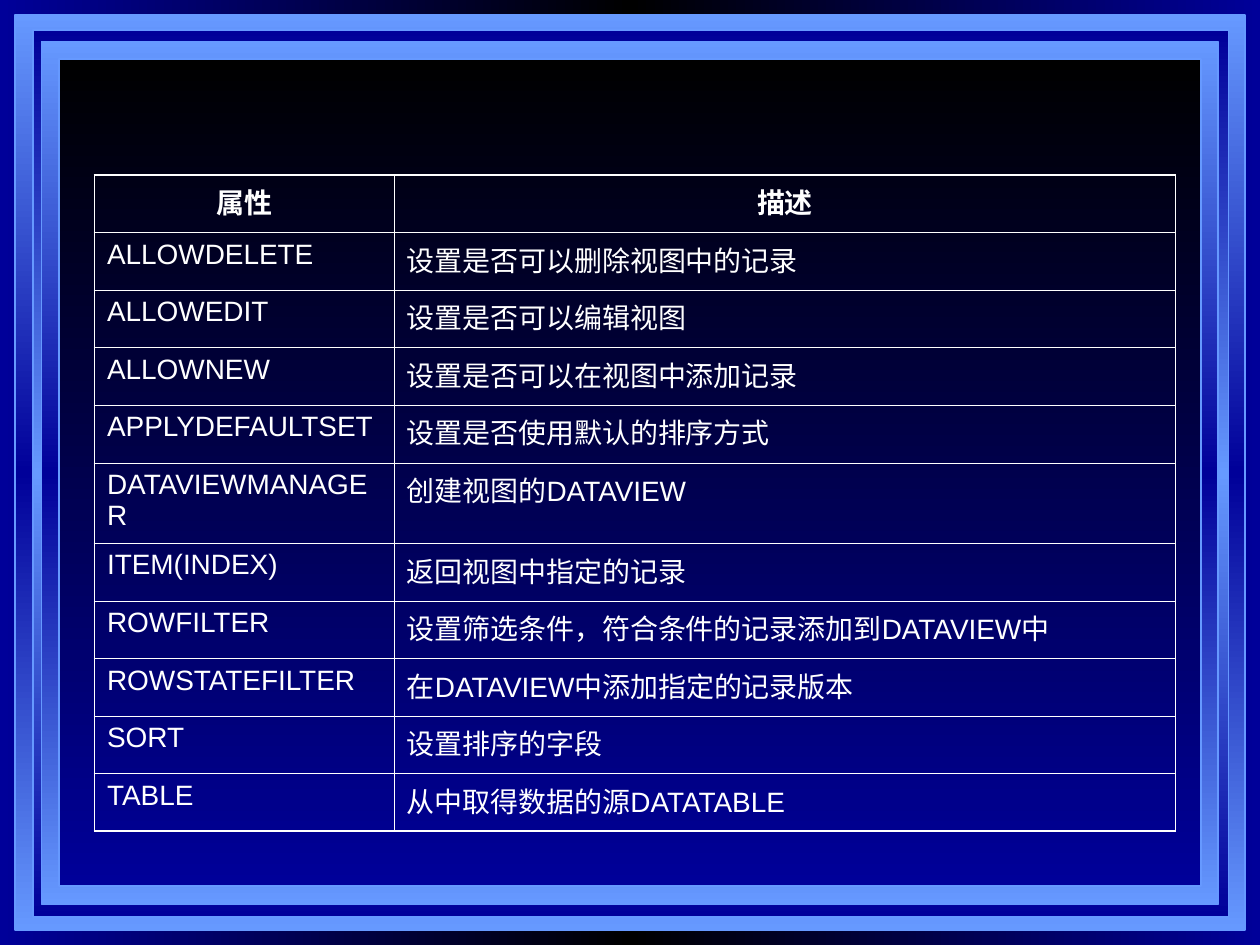
import pptx
import pptx.util
import pptx.dml.color
import pptx.enum.shapes
import pptx.enum.text
import pptx.oxml
import pptx.oxml.ns
from lxml import etree

Inches, Pt = pptx.util.Inches, pptx.util.Pt
qn = pptx.oxml.ns.qn

# Content
HEADER = ("属性", "描述")
PROPERTIES = [
    ("ALLOWDELETE", "设置是否可以删除视图中的记录"),
    ("ALLOWEDIT", "设置是否可以编辑视图"),
    ("ALLOWNEW", "设置是否可以在视图中添加记录"),
    ("APPLYDEFAULTSET", "设置是否使用默认的排序方式"),
    ("DATAVIEWMANAGER", "创建视图的DATAVIEW"),
    ("ITEM(INDEX)", "返回视图中指定的记录"),
    ("ROWFILTER", "设置筛选条件，符合条件的记录添加到DATAVIEW中"),
    ("ROWSTATEFILTER", "在DATAVIEW中添加指定的记录版本"),
    ("SORT", "设置排序的字段"),
    ("TABLE", "从中取得数据的源DATATABLE"),
]
ROWS = [HEADER] + PROPERTIES

# Look
SKY, NAVY, BLACK, WHITE = "6699FF", "000099", "000000", "FFFFFF"
FRAMES = [  # left, top, width, height, gradient from top to bottom
    (0.12, 0.12, 9.76, 7.26, (SKY, NAVY, SKY)),
    (0.26, 0.24, 9.49, 7.04, (NAVY, SKY, NAVY)),
    (0.33, 0.33, 9.34, 6.85, (SKY, NAVY, SKY)),
    (0.47, 0.47, 9.06, 6.56, (BLACK, NAVY)),
]
LEFT, TOP, HEIGHT = 0.75, 1.39, 5.21
COLUMNS = (2.38, 6.2)
TALL_ROW, TALL_HEIGHT = 5, 0.64
ROW_HEIGHT = (HEIGHT - TALL_HEIGHT) / (len(ROWS) - 1)
OUTER, INNER = 1.08, 0.45


def rgb(color):
    return pptx.dml.color.RGBColor.from_string(color)


def set_gradient(fill, owner, colors, angle):
    """Fill with evenly spaced colours; angle is clockwise from rightwards."""
    fill.gradient()
    fill.gradient_angle = (360 - angle) % 360
    stops = owner.find(".//" + qn("a:gsLst"))
    for stop in list(stops):
        stops.remove(stop)
    for i, color in enumerate(colors):
        stop = etree.SubElement(stops, qn("a:gs"), pos=str(100000 * i // (len(colors) - 1)))
        etree.SubElement(stop, qn("a:srgbClr"), val=color)


def set_borders(cell, **widths):
    tcPr = cell._tc.get_or_add_tcPr()
    for side in "LRTB":
        ln = etree.SubElement(tcPr, qn("a:ln" + side), w=str(int(Pt(widths[side]))))
        fill = etree.SubElement(ln, qn("a:solidFill"))
        etree.SubElement(fill, qn("a:srgbClr"), val=WHITE)


def write(tf, text, size=16, color=WHITE, font="Arial", bold=False, align="LEFT"):
    p = tf.paragraphs[0]
    p.alignment = getattr(pptx.enum.text.PP_ALIGN, align)
    r = p.add_run()
    r.text = text
    r.font.size, r.font.bold, r.font.name = Pt(size), bold, font
    r.font.color.rgb = rgb(color)


prs = pptx.Presentation()
prs.slide_width, prs.slide_height = Inches(10), Inches(7.5)
slide = prs.slides.add_slide(prs.slide_layouts[6])

# Background and nested frames
set_gradient(slide.background.fill, slide._element, (NAVY, BLACK, NAVY), 180)
for *box, colors in FRAMES:
    s = slide.shapes.add_shape(pptx.enum.shapes.MSO_SHAPE.RECTANGLE, *map(Inches, box))
    s.shadow.inherit = False
    set_gradient(s.fill, s._element, colors, 90)
    s.line.color.rgb = rgb(SKY)
    s.line.width = Pt(1)

# Table of properties
table = slide.shapes.add_table(
    len(ROWS), len(COLUMNS), Inches(LEFT), Inches(TOP), Inches(sum(COLUMNS)), Inches(HEIGHT)
).table
table.first_row = table.horz_banding = False
for column, width in zip(table.columns, COLUMNS):
    column.width = Inches(width)

last_row, last_col = len(ROWS) - 1, len(COLUMNS) - 1
for i, texts in enumerate(ROWS):
    table.rows[i].height = Inches(TALL_HEIGHT if i == TALL_ROW else ROW_HEIGHT)
    for j, text in enumerate(texts):
        cell = table.cell(i, j)
        set_borders(
            cell,
            L=OUTER if j == 0 else INNER,
            R=OUTER if j == last_col else INNER,
            T=OUTER if i == 0 else INNER,
            B=OUTER if i == last_row else INNER,
        )
        cell.fill.background()
        write(cell.text_frame, text, bold=i == 0, align="LEFT" if i else "CENTER")

prs.save("out.pptx")
